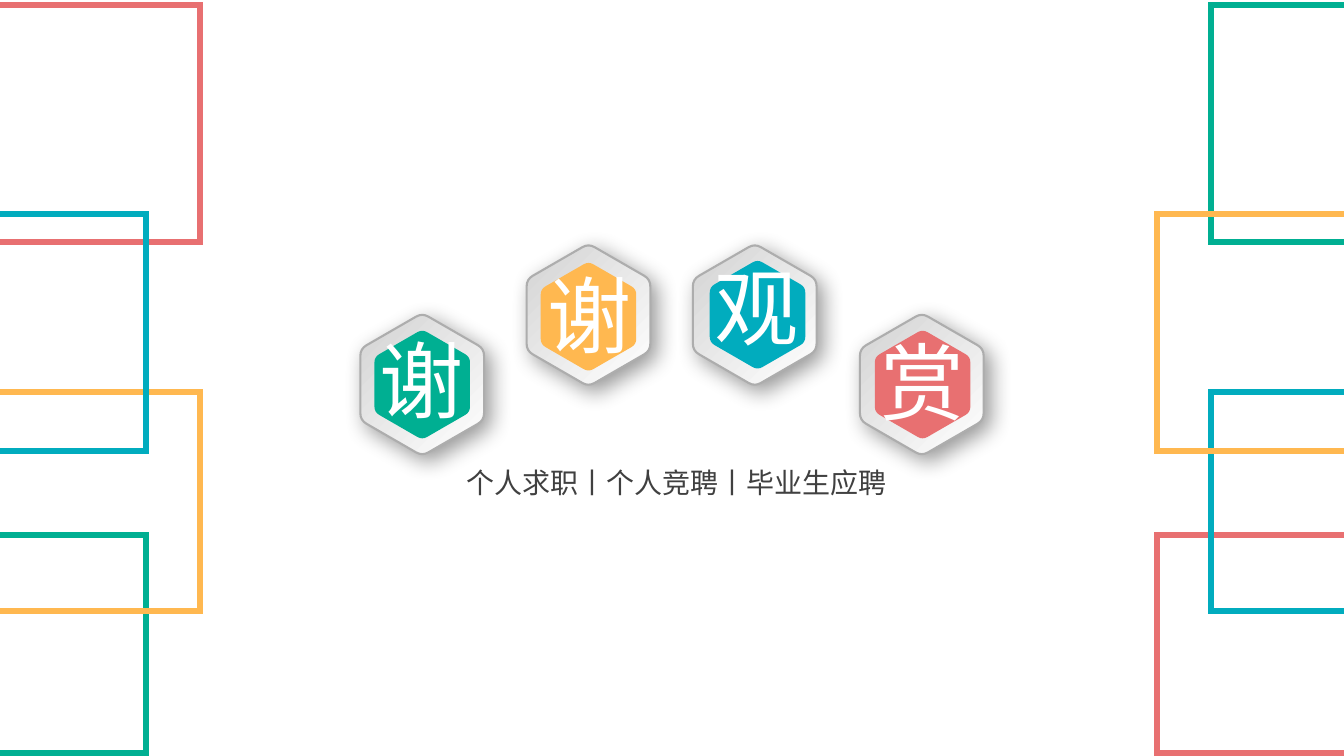
import math
import pptx
import pptx.util
import pptx.dml.color
import pptx.enum.lang
import pptx.enum.shapes
import pptx.enum.text
import pptx.oxml
import pptx.oxml.ns
import lxml.etree

Cm = pptx.util.Cm
Pt = pptx.util.Pt
Color = pptx.dml.color.RGBColor
qn = pptx.oxml.ns.qn

GREEN = Color(0x00, 0xAF, 0x92)
AMBER = Color(0xFF, 0xB8, 0x50)
TEAL = Color(0x01, 0xAC, 0xBE)
CORAL = Color(0xE8, 0x70, 0x71)
WHITE = Color(0xFF, 0xFF, 0xFF)
SILVER = Color(0xD3, 0xD3, 0xD3)
EDGE = Color(0xAD, 0xAD, 0xAD)
INK = Color(0x40, 0x40, 0x40)

BADGES = [
    ("谢", GREEN, (10.64, 9.69), (10.64, 9.69), (9.32, 8.15)),
    ("谢", AMBER, (14.83, 7.94), (14.83, 7.98), (13.56, 6.51)),
    ("观", TEAL, (19.02, 7.94), (19.09, 7.93), (17.75, 6.32)),
    ("赏", CORAL, (23.23, 9.69), (23.25, 9.69), (21.93, 8.2)),
]
TAGLINE = "个人求职丨个人竞聘丨毕业生应聘"

ROWS = [(13.48, 5.51), (0.13, 5.97), (9.88, 5.51), (5.39, 5.97)]
SIDES = [
    ((-3.12, -1.77), (GREEN, CORAL, AMBER, TEAL)),
    ((29.16, 30.52), (CORAL, GREEN, TEAL, AMBER)),
]
FRAME = 6.81
OUTER, INNER = 1.8, 1.39
ROUND = 0.1

SHADOW = (
    '<a:effectLst %s><a:outerShdw blurRad="%d" dist="%d" dir="2700000" '
    'algn="tl" rotWithShape="0"><a:srgbClr val="000000"><a:alpha val="40000"/>'
    '</a:srgbClr></a:outerShdw></a:effectLst>'
    % (pptx.oxml.ns.nsdecls("a"), Pt(16), Pt(6))
)


def mix(a, b, t):
    return tuple(p + (q - p) * t for p, q in zip(a, b))


def hexagon(group, center, radius):
    tips = []
    for i in range(6):
        turn = math.radians(60 * i)
        tips.append((Cm(center[0] + radius * math.cos(turn)),
                     Cm(center[1] + radius * math.sin(turn))))
    dots, bends = [], []
    for i, tip in enumerate(tips):
        start = mix(tip, tips[i - 1], ROUND)
        end = mix(tip, tips[(i + 1) % 6], ROUND)
        dots += [start, mix(mix(start, end, 0.5), tip, 0.5), end]
        bends.append((mix(start, tip, 2 / 3), mix(end, tip, 2 / 3), end))
    pen = group.shapes.build_freeform(*dots[0])
    pen.add_line_segments(dots[1:], close=True)
    shape = pen.convert_to_shape()
    shape.shadow.inherit = False
    path = shape._element.find(".//" + qn("a:path"))
    lines = path.findall(qn("a:lnTo"))
    for i, bend in enumerate(bends):
        path.remove(lines[3 * i])
        curve = lxml.etree.Element(qn("a:cubicBezTo"))
        for x, y in bend:
            lxml.etree.SubElement(curve, qn("a:pt"), x=str(round(x - shape.left)),
                                  y=str(round(y - shape.top)))
        path.replace(lines[3 * i + 1], curve)
    shape.rotation = 90
    return shape


def badge(slide, color, outer, inner):
    group = slide.shapes.add_group_shape()
    rim = hexagon(group, outer, OUTER)
    rim.fill.gradient()
    rim.fill.gradient_angle = 225
    for stop, tone in zip(rim.fill.gradient_stops, (WHITE, SILVER)):
        stop.color.rgb = tone
    rim.line.color.rgb = EDGE
    rim.line.width = Pt(1.5)
    props = rim._element.spPr
    props.replace(props.find(qn("a:effectLst")), pptx.oxml.parse_xml(SHADOW))
    core = hexagon(group, inner, INNER)
    core.fill.solid()
    core.fill.fore_color.rgb = color
    core.line.fill.background()


def label(slide, words, box, size, face, color):
    frame = slide.shapes.add_textbox(*map(Cm, box)).text_frame
    frame.word_wrap = False
    frame.auto_size = pptx.enum.text.MSO_AUTO_SIZE.SHAPE_TO_FIT_TEXT
    run = frame.paragraphs[0].add_run()
    run.text = words
    run.font.size = Pt(size)
    run.font.name = face
    run.font.color.rgb = color
    run.font.language_id = pptx.enum.lang.MSO_LANGUAGE_ID.SIMPLIFIED_CHINESE


def frames(slide, lefts, colors):
    group = slide.shapes.add_group_shape()
    for i, ((top, high), color) in enumerate(zip(ROWS, colors)):
        rect = group.shapes.add_shape(
            pptx.enum.shapes.MSO_SHAPE.RECTANGLE,
            Cm(lefts[i in (1, 2)]), Cm(top), Cm(FRAME), Cm(high))
        rect.shadow.inherit = False
        rect.fill.background()
        rect.line.color.rgb = color
        rect.line.width = Pt(4.5)
        stroke = rect._element.spPr.find(qn("a:ln"))
        lxml.etree.SubElement(stroke, qn("a:miter"), lim="800000")


def main():
    deck = pptx.Presentation()
    deck.slide_width, deck.slide_height = Cm(33.87), Cm(19.05)
    slide = deck.slides.add_slide(deck.slide_layouts[6])
    for word, color, outer, inner, spot in BADGES:
        badge(slide, color, outer, inner)
    for word, color, outer, inner, spot in BADGES:
        label(slide, word, (*spot, 2.64, 2.82), 60, "Roboto", WHITE)
    label(slide, TAGLINE, (11.5, 11.6, 11.2, 1.12), 20, "Calibri", INK)
    for lefts, colors in SIDES:
        frames(slide, lefts, colors)
    deck.save("out.pptx")


if __name__ == "__main__":
    main()
